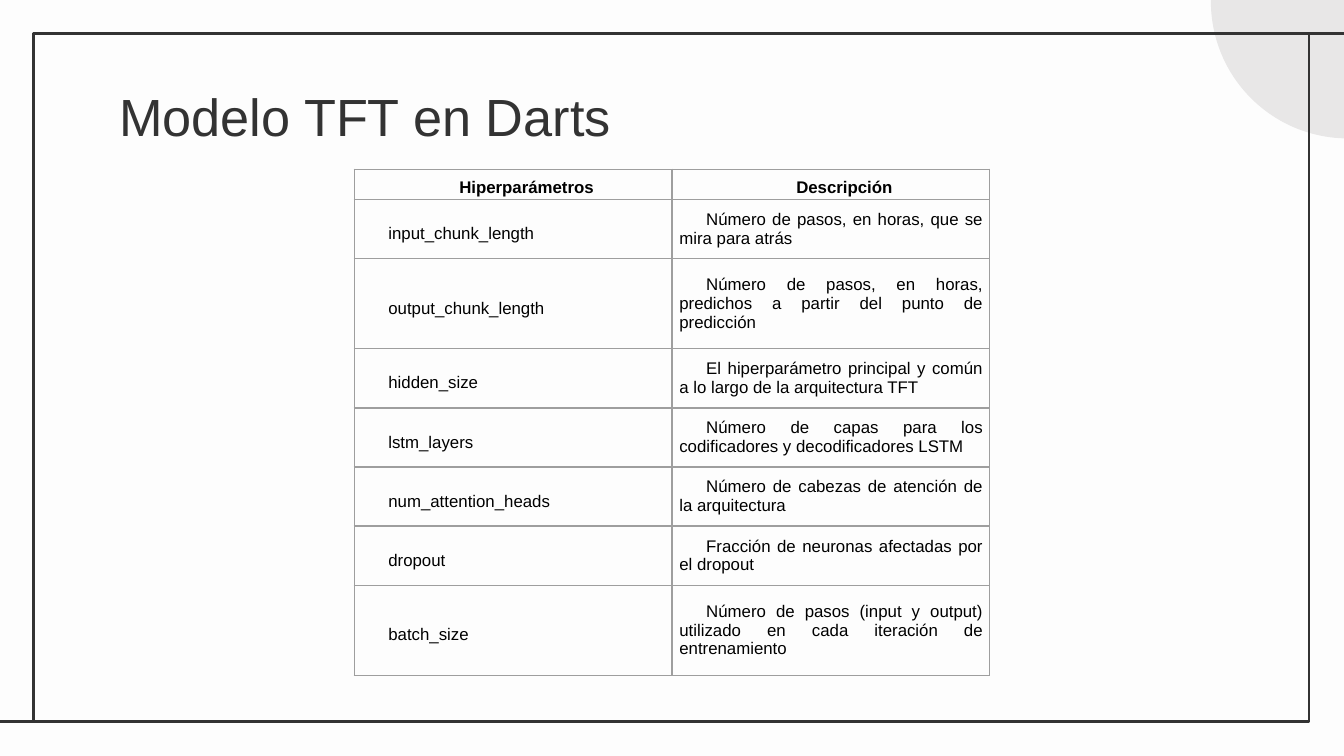
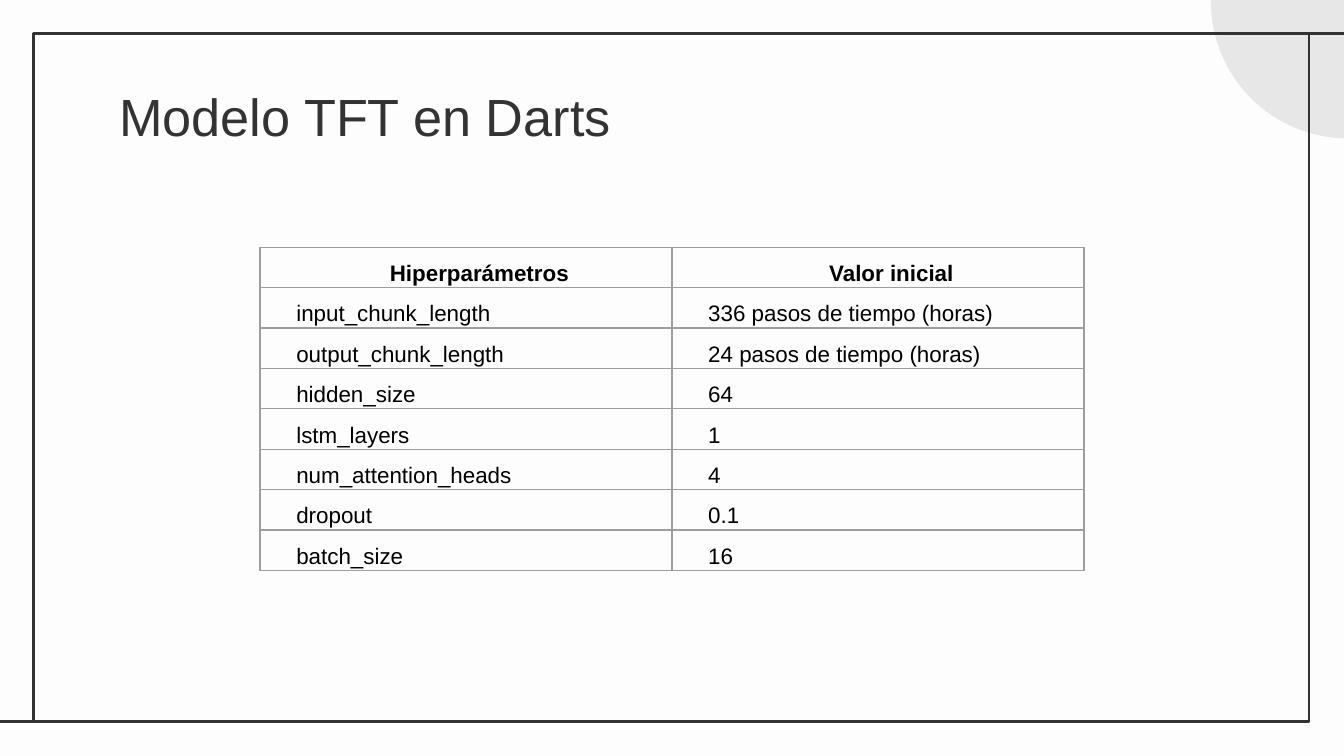
import dataclasses
import typing

import lxml.etree
import pptx
import pptx.dml.color
import pptx.enum.shapes
import pptx.enum.text
import pptx.oxml.ns
import pptx.util

RGB = pptx.dml.color.RGBColor
SHAPE = pptx.enum.shapes.MSO_SHAPE
ALIGN = pptx.enum.text.PP_ALIGN
ANCHOR = pptx.enum.text.MSO_ANCHOR
qn = pptx.oxml.ns.qn

PAPER = RGB(0xFD, 0xFD, 0xFD)
INK = RGB(0x33, 0x33, 0x33)
DISC = RGB(0xE8, 0xE7, 0xE7)
RULE = RGB(0x9E, 0x9E, 0x9E)
BLACK = RGB(0, 0, 0)
FONT = "Arial"
TITLE = "Modelo TFT en Darts"

# The slide is a grid of square units, ten to the inch
COLS, ROWS = 100, 56.25


@dataclasses.dataclass(frozen=True)
class Box:
    left: float
    top: float
    width: float
    height: float


@dataclasses.dataclass(frozen=True)
class Grid:
    top: float
    width: float
    rows: tuple[float, ...]
    size: int
    inset: float
    head: typing.Any     # anchor of the header row
    align: typing.Any    # alignment of the second column
    space: float         # line spacing of the second column
    label: str
    texts: tuple[str, ...]


FRAME = Box(2.5, 2.5, 94.9, 51.2)
CIRCLE = Box(90.1, -10.1, 20.4, 20.4)
HEAD = Box(7.9, 4.9, 84.3, 6.3)

NAMES = ("input_chunk_length", "output_chunk_length", "hidden_size",
         "lstm_layers", "num_attention_heads", "dropout", "batch_size")

GRIDS = (
    Grid(12.6, 47.3, (2.1, 4.4, 6.7, 4.4, 4.4, 4.4, 4.4, 6.7), 9, 0.55,
         ANCHOR.TOP, ALIGN.JUSTIFY, 1.0, "Descripción", (
             "Número de pasos, en horas, que se mira para atrás",
             "Número de pasos, en horas, predichos a partir del punto de predicción",
             "El hiperparámetro principal y común a lo largo de la arquitectura TFT",
             "Número de capas para los codificadores y decodificadores LSTM",
             "Número de cabezas de atención de la arquitectura",
             "Fracción de neuronas afectadas por el dropout",
             "Número de pasos (input y output) utilizado en cada iteración de entrenamiento",
         )),
    Grid(18.4, 61.3, (2.8,) * 8, 12, 0.7,
         ANCHOR.MIDDLE, ALIGN.LEFT, 1.5, "Valor inicial", (
             "336 pasos de tiempo (horas)", "24 pasos de tiempo (horas)",
             "64", "1", "4", "0.1", "16",
         )),
)


def unit(count: float) -> int:
    return pptx.util.Inches(count / 10)


def place(box: Box) -> tuple[int, ...]:
    return tuple(unit(side) for side in dataclasses.astuple(box))


def style(para: typing.Any, size: int, color: RGB, bold: bool = False) -> None:
    for run in para.runs:
        font = run.font
        font.name, font.size, font.bold = FONT, pptx.util.Pt(size), bold
        font.color.rgb = color


# Shared backdrop: disc, frame and the two frame ends
def pen(line: typing.Any) -> None:
    line.color.rgb = INK
    line.width = pptx.util.Pt(1.5)


def rule(slide: typing.Any, start: float, end: float, row: float) -> None:
    line = slide.shapes.add_connector(
        pptx.enum.shapes.MSO_CONNECTOR.STRAIGHT,
        unit(start), unit(row), unit(end), unit(row))
    pen(line.line)
    lxml.etree.SubElement(line._element.spPr, qn("a:effectLst"))


def base(slide: typing.Any) -> None:
    slide.background.fill.solid()
    slide.background.fill.fore_color.rgb = PAPER

    disc = slide.shapes.add_shape(SHAPE.OVAL, *place(CIRCLE))
    disc.shadow.inherit = False
    disc.fill.solid()
    disc.fill.fore_color.rgb = DISC
    disc.line.fill.background()

    frame = slide.shapes.add_shape(SHAPE.RECTANGLE, *place(FRAME))
    frame.shadow.inherit = False
    frame.fill.background()
    pen(frame.line)
    rule(slide, FRAME.left, 0, FRAME.top + FRAME.height)
    rule(slide, COLS, FRAME.left + FRAME.width, FRAME.top)


def title(slide: typing.Any, text: str) -> None:
    frame = slide.shapes.add_textbox(*place(HEAD)).text_frame
    frame.word_wrap = True
    frame.margin_left = frame.margin_right = unit(1)
    frame.margin_top, frame.margin_bottom = unit(1.4), 0
    frame.text = text
    style(frame.paragraphs[0], 28, INK)


# Tables
def edge(cell: typing.Any) -> None:
    props = cell._tc.get_or_add_tcPr()
    for side in ("lnL", "lnR", "lnT", "lnB"):
        line = lxml.etree.SubElement(
            props, qn(f"a:{side}"), w=str(pptx.util.Pt(0.75)))
        fill = lxml.etree.SubElement(line, qn("a:solidFill"))
        lxml.etree.SubElement(fill, qn("a:srgbClr"), val=str(RULE))


def write(cell: typing.Any, text: str, grid: Grid, head: bool, last: bool) -> None:
    edge(cell)
    cell.fill.background()
    cell.margin_left = cell.margin_right = unit(grid.inset)
    cell.margin_top = cell.margin_bottom = 0
    cell.vertical_anchor = grid.head if head else ANCHOR.MIDDLE
    para = cell.text_frame.paragraphs[0]
    para.text = text
    props = para._p.get_or_add_pPr()
    props.set("marL", "0")
    props.set("indent", str(unit(2)))
    body = last and not head
    para.line_spacing = grid.space if body else 1.5
    para.alignment = ALIGN.CENTER if head else grid.align if body else ALIGN.LEFT
    style(para, grid.size, BLACK, head)


def table(slide: typing.Any, grid: Grid) -> None:
    box = Box((COLS - grid.width) / 2, grid.top, grid.width, sum(grid.rows))
    data = (("Hiperparámetros", grid.label), *zip(NAMES, grid.texts))
    made = slide.shapes.add_table(len(data), 2, *place(box)).table
    made.first_row = made.horz_banding = False
    for col in made.columns:
        col.width = unit(grid.width / 2)
    for r, (high, pair) in enumerate(zip(grid.rows, data)):
        made.rows[r].height = unit(high)
        for c, text in enumerate(pair):
            write(made.cell(r, c), text, grid, r == 0, c == 1)


def main() -> None:
    deck = pptx.Presentation()
    deck.slide_width, deck.slide_height = unit(COLS), unit(ROWS)
    for grid in GRIDS:
        slide = deck.slides.add_slide(deck.slide_layouts[6])
        base(slide)
        title(slide, TITLE)
        table(slide, grid)
    deck.save("out.pptx")


if __name__ == "__main__":
    main()
